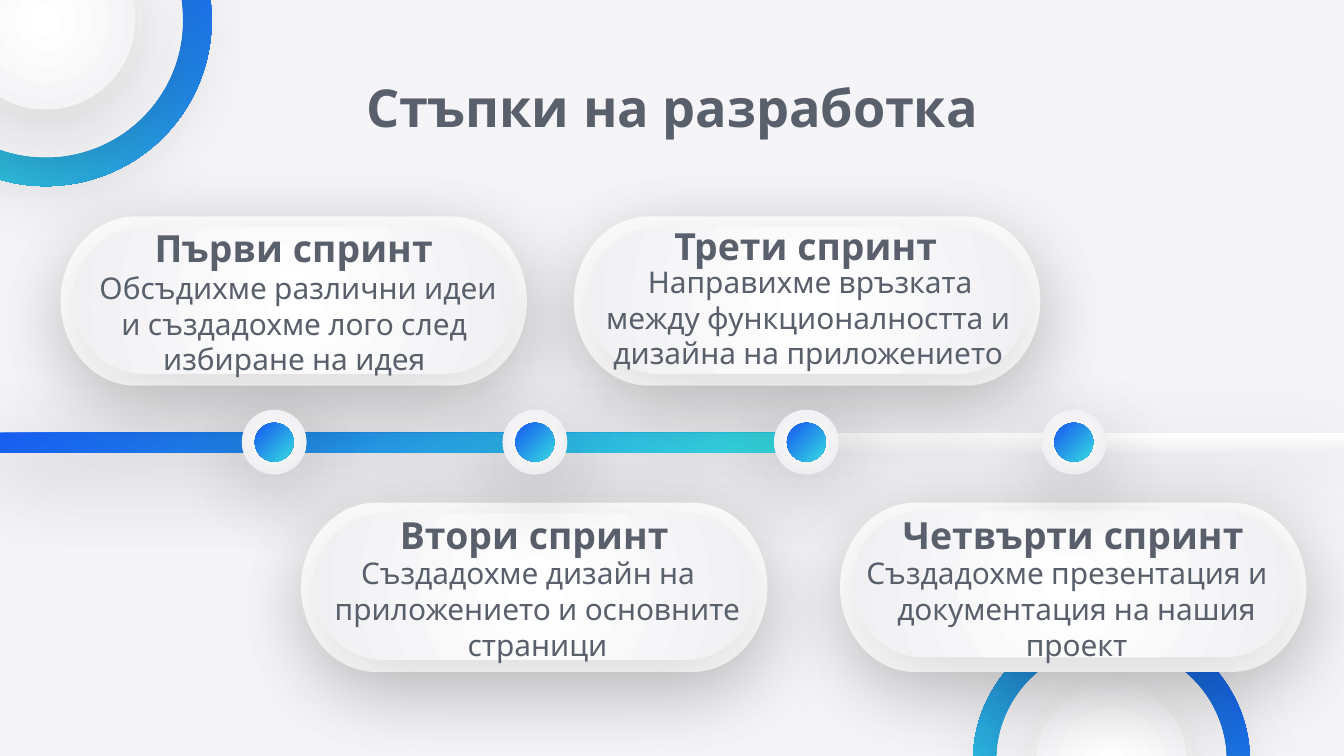
from dataclasses import dataclass

from lxml.etree import SubElement
from pptx import Presentation
from pptx.dml.color import RGBColor
from pptx.enum.shapes import MSO_SHAPE
from pptx.enum.text import MSO_ANCHOR, PP_ALIGN
from pptx.oxml.ns import qn
from pptx.util import Inches, Pt

BACKGROUND = RGBColor(0xF5, 0xF5, 0xF8)
WHITE = RGBColor(0xFF, 0xFF, 0xFF)
PALE = RGBColor(0xF0, 0xF0, 0xF3)
BLUE = RGBColor(0x16, 0x58, 0xF1)
CYAN = RGBColor(0x36, 0xDB, 0xE0)
SLATE = RGBColor(0x59, 0x5F, 0x6B)

TITLE_FONT = "Noto Sans"
STEP_FONT = "League Spartan"

SLIDE_W = 10
SLIDE_H = SLIDE_W * 9 / 16
PILL_W, PILL_H = 3.47, 1.26
RIM_W, RIM_H = 3.3, 1.09
TRACK_TOP, TRACK_H = 3.22, 0.15
DOT_TOP, DOT, DOT_CORE = 3.05, 0.48, 0.29


@dataclass
class Step:
    """A sprint; heading and body boxes are offsets from the pill's corner."""
    heading: str
    body: str
    left: float
    top: float
    dot_left: float
    heading_at: tuple
    body_box: tuple
    indent: tuple
    rim_top: float = 0.08


LOWER = dict(top=3.74, heading_at=(0.33, 0.03),
             body_box=(0, 0.39, 3.38, 0.8), indent=(0.14, -0.14))
STEPS = [
    Step("Първи спринт",
         "Обсъдихме различни идеи и създадохме лого след избиране на идея",
         left=0.45, top=1.61, dot_left=1.8, heading_at=(0.33, 0.03),
         body_box=(0.09, 0.41, 3.3, 0.77), indent=(0, 0.06)),
    Step("Втори спринт",
         "Създадохме дизайн на приложението и основните страници",
         left=2.24, dot_left=3.74, **LOWER),
    Step("Трети спринт",
         "Направихме връзката между функционалността и дизайна на приложението",
         left=4.27, top=1.61, dot_left=5.76, heading_at=(0.32, 0.01),
         body_box=(0.13, 0.35, 3.23, 0.8), indent=(0, 0.03)),
    Step("Четвърти спринт",
         "Създадохме презентация и документация на нашия проект",
         left=6.25, dot_left=7.75, rim_top=0.06, **LOWER),
]


def fill_gradient(shape, start, end, angle=None):
    """Linear gradient at a clockwise angle, or radial when none is given."""
    shape.fill.gradient()
    for stop, color, position in zip(shape.fill.gradient_stops, (start, end), (0, 1)):
        stop.color.rgb = color
        stop.position = position
    if angle is not None:
        shape.fill.gradient_angle = 360 - angle
        return
    gradient = shape._element.spPr.find(qn("a:gradFill"))
    gradient.remove(gradient.find(qn("a:lin")))
    radial = SubElement(gradient, qn("a:path"), path="circle")
    SubElement(radial, qn("a:fillToRect"), l="50000", t="50000", r="50000", b="50000")


def cast_shadow(shape):
    effects = shape._element.spPr.find(qn("a:effectLst"))
    shadow = SubElement(effects, qn("a:outerShdw"), blurRad=str(Pt(45)),
                        dist=str(Pt(11.2)), dir=str(85 * 60000),
                        algn="ctr", rotWithShape="0")
    color = SubElement(shadow, qn("a:srgbClr"), val="000000")
    SubElement(color, qn("a:alpha"), val="15000")


def add_piece(slide, kind, box, colors, angle=None, shadow=True):
    piece = slide.shapes.add_shape(kind, *(Inches(v) for v in box))
    piece.shadow.inherit = False
    piece.line.fill.background()
    if len(colors) == 1:
        piece.fill.solid()
        piece.fill.fore_color.rgb = colors[0]
    else:
        fill_gradient(piece, *colors, angle)
    if shadow:
        cast_shadow(piece)
    return piece


def add_text(slide, box, text, size, font, bold=False, indent=(0, 0)):
    frame = slide.shapes.add_textbox(*(Inches(v) for v in box)).text_frame
    frame.word_wrap = True
    frame.vertical_anchor = MSO_ANCHOR.MIDDLE
    frame.margin_left = frame.margin_right = Inches(0.1)
    frame.margin_top = frame.margin_bottom = Inches(0.1)
    paragraph = frame.paragraphs[0]
    paragraph.alignment = PP_ALIGN.CENTER
    if any(indent):
        properties = paragraph._p.get_or_add_pPr()
        properties.set("marL", str(Inches(indent[0])))
        properties.set("indent", str(Inches(indent[1])))
    run = paragraph.add_run()
    run.text = text
    run.font.size = Pt(size)
    run.font.name = font
    run.font.bold = bold
    run.font.color.rgb = SLATE


def add_ring(slide, center_x, center_y, diameters):
    """Blue ring around two raised pale discs, outermost diameter first."""
    for index, size in enumerate(diameters):
        box = (center_x - size / 2, center_y - size / 2, size, size)
        if index == 0:
            disc = add_piece(slide, MSO_SHAPE.OVAL, box, (BLUE, CYAN), 45, shadow=False)
        else:
            disc = add_piece(slide, MSO_SHAPE.OVAL, box, (WHITE, PALE))
        disc.rotation = 90


def add_track(slide):
    add_piece(slide, MSO_SHAPE.RECTANGLE, (0, TRACK_TOP, SLIDE_W, TRACK_H),
              (WHITE, PALE), 90)
    progress = add_piece(slide, MSO_SHAPE.ROUNDED_RECTANGLE,
                         (-0.26, TRACK_TOP, 6.09, TRACK_H), (BLUE, CYAN), 45)
    progress.adjustments[0] = 0.5


def add_step(slide, step):
    x, y = step.left, step.top
    pill = add_piece(slide, MSO_SHAPE.FLOWCHART_TERMINATOR,
                     (x, y, PILL_W, PILL_H), (WHITE,))
    rim = add_piece(slide, MSO_SHAPE.FLOWCHART_TERMINATOR,
                    (x + 0.09, y + step.rim_top, RIM_W, RIM_H), (WHITE, PALE))
    pill.rotation = rim.rotation = 180
    dx, dy, width, height = step.body_box
    add_text(slide, (x + dx, y + dy, width, height), step.body, 16, STEP_FONT,
             indent=step.indent)
    dx, dy = step.heading_at
    add_text(slide, (x + dx, y + dy, 2.81, 0.41), step.heading, 20, STEP_FONT, bold=True)


def add_dot(slide, left):
    inset = (DOT - DOT_CORE) / 2
    add_piece(slide, MSO_SHAPE.OVAL, (left, DOT_TOP, DOT, DOT), (WHITE, PALE))
    add_piece(slide, MSO_SHAPE.OVAL, (left + inset, DOT_TOP + inset, DOT_CORE, DOT_CORE),
              (BLUE, CYAN), 45)


def main():
    deck = Presentation()
    deck.slide_width, deck.slide_height = Inches(SLIDE_W), Inches(SLIDE_H)
    slide = deck.slides.add_slide(deck.slide_layouts[6])
    slide.background.fill.solid()
    slide.background.fill.fore_color.rgb = BACKGROUND

    add_ring(slide, 0.34, 0.15, (2.47, 2.04, 1.33))
    add_ring(slide, 8.27, 5.66, (2.06, 1.71, 1.12))
    add_track(slide)
    add_text(slide, (0.78, 0.59, 8.44, 0.41), "Стъпки на разработка", 28,
             TITLE_FONT, bold=True)
    for step in STEPS:
        add_step(slide, step)
    for step in STEPS:
        add_dot(slide, step.dot_left)
    deck.save("out.pptx")


if __name__ == "__main__":
    main()
